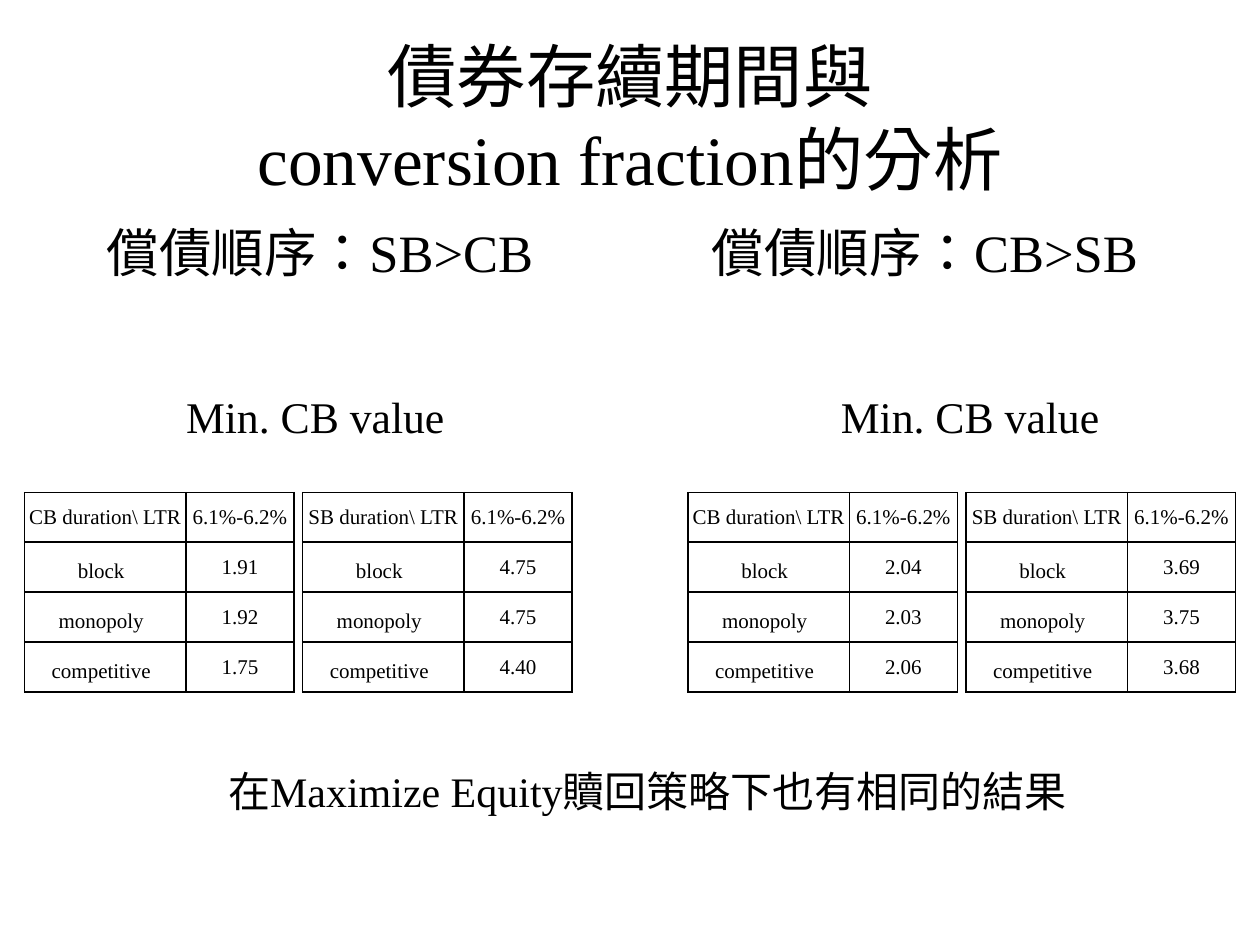
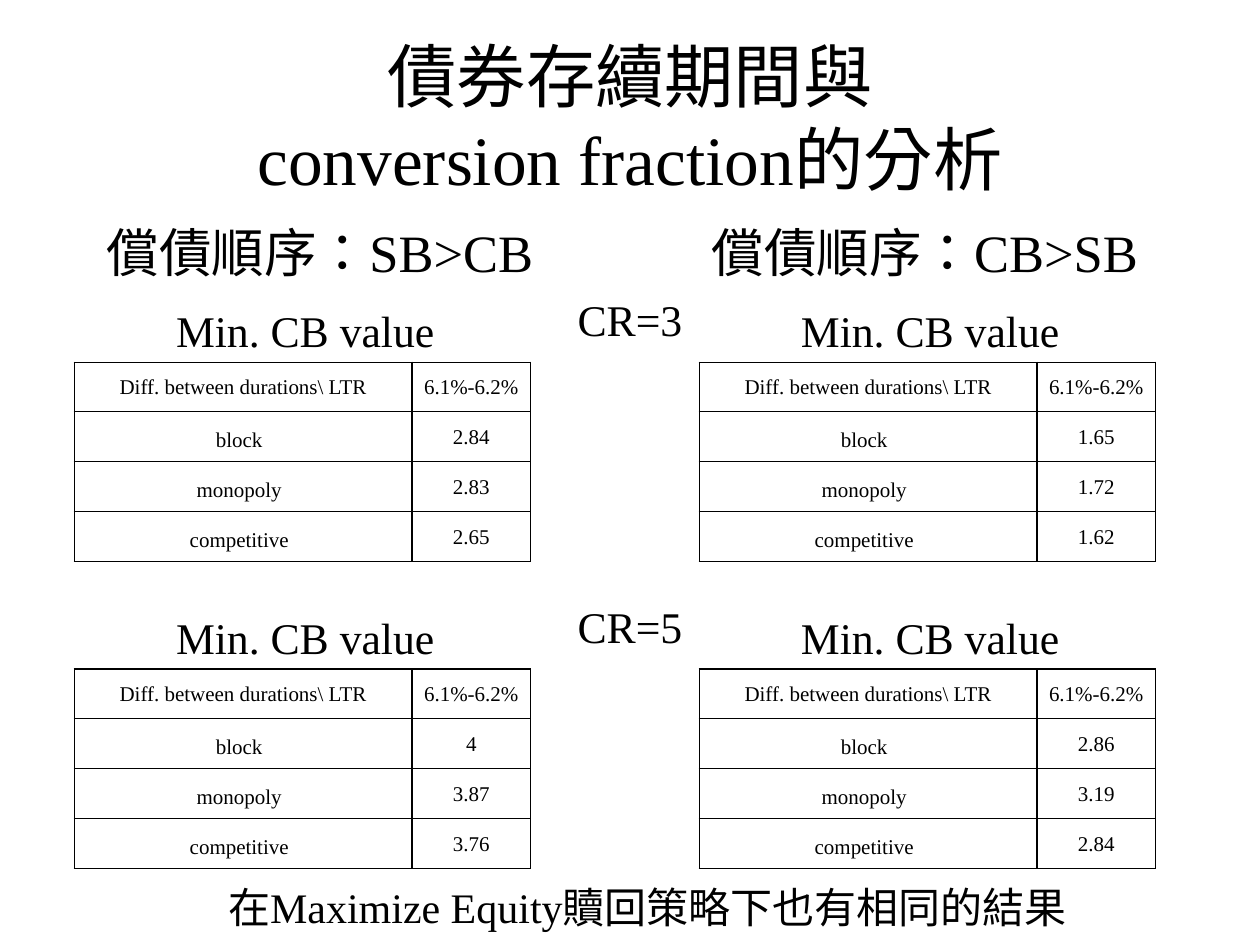
from lxml import etree
from pptx import Presentation
from pptx.dml.color import RGBColor
from pptx.enum.text import MSO_ANCHOR, MSO_AUTO_SIZE, PP_ALIGN
from pptx.oxml.ns import qn
from pptx.util import Pt

BLACK = RGBColor(0, 0, 0)
FONT = "Times New Roman"
LANGUAGE = "zh-TW"

TITLE_LINES = ["債券存續期間與", "conversion fraction的分析"]
ORDERS = ["償債順序：SB>CB", "償債順序：CB>SB"]
CAPTION = "Min. CB value"
NOTE = "在Maximize Equity贖回策略下也有相同的結果"
RATE = "6.1%-6.2%"
MARKETS = ["block", "monopoly", "competitive"]

# Header and values of each table: (CB table, SB table) per repayment order
DURATIONS = [
    [("CB duration\\ LTR", ["1.91", "1.92", "1.75"]),
     ("SB duration\\ LTR", ["4.75", "4.75", "4.40"])],
    [("CB duration\\ LTR", ["2.04", "2.03", "2.06"]),
     ("SB duration\\ LTR", ["3.69", "3.75", "3.68"])],
]

# Values per conversion ratio: one list per repayment order
DIFF_HEADER = "Diff. between durations\\ LTR"
DIFFERENCES = [
    ("CR=3", [["2.84", "2.83", "2.65"], ["1.65", "1.72", "1.62"]]),
    ("CR=5", [["4", "3.87", "3.76"], ["2.86", "3.19", "2.84"]]),
]

ORDER_LEFTS = [54, 399.6]
ROW_HEIGHTS = [28.2, 28.6, 28.6, 28.6]
DURATION_COLUMNS = [92.2, 61.9]
DURATION_LEFTS = [14, 393.1]
DURATION_STEP = 158.9
DIFF_COLUMNS = [193, 67.7]
DIFF_LEFTS = [42.5, 399.6]
DIFF_TOPS = [207, 382.4]


def add_run(paragraph, text, size):
    """Add a black run in the deck font and language."""
    run = paragraph.add_run()
    run.text = text
    run.font.size = Pt(size)
    run.font.name = FONT
    run.font.color.rgb = BLACK
    run._r.get_or_add_rPr().set("lang", LANGUAGE)


def add_text(slide, text, left, top, width, height, size,
             align=PP_ALIGN.LEFT, before=0):
    """Add a one-paragraph text box."""
    box = slide.shapes.add_textbox(Pt(left), Pt(top), Pt(width), Pt(height))
    frame = box.text_frame
    frame.word_wrap = True
    frame.auto_size = MSO_AUTO_SIZE.SHAPE_TO_FIT_TEXT
    paragraph = frame.paragraphs[0]
    paragraph.alignment = align
    paragraph.space_before = Pt(before)
    add_run(paragraph, text, size)


def add_borders(cell):
    """Draw a 1 pt black line on all four sides of a cell."""
    props = cell._tc.get_or_add_tcPr()
    for index, side in enumerate(("a:lnL", "a:lnR", "a:lnT", "a:lnB")):
        line = etree.Element(qn(side), w=str(Pt(1)))
        fill = etree.SubElement(line, qn("a:solidFill"))
        etree.SubElement(fill, qn("a:srgbClr"), val=str(BLACK))
        props.insert(index, line)


def add_grid(slide, header, values, left, top, columns):
    """Add a table of one value per market."""
    rows = [(header, RATE), *zip(MARKETS, values)]
    table = slide.shapes.add_table(
        len(rows), len(columns), Pt(left), Pt(top),
        Pt(sum(columns)), Pt(sum(ROW_HEIGHTS))).table
    table.first_row = table.horz_banding = False
    for column, width in zip(table.columns, columns):
        column.width = Pt(width)
    for r, (row, height) in enumerate(zip(rows, ROW_HEIGHTS)):
        table.rows[r].height = Pt(height)
        for c, text in enumerate(row):
            cell = table.cell(r, c)
            cell.fill.background()
            cell.vertical_anchor = MSO_ANCHOR.MIDDLE
            cell.margin_left = cell.margin_right = cell.margin_top = Pt(0.7)
            cell.margin_bottom = 0
            paragraph = cell.text_frame.paragraphs[0]
            paragraph.alignment = PP_ALIGN.CENTER
            add_run(paragraph, text, 12)
            if r and c == 0:
                add_run(paragraph, " ", 18)  # taller line sets the label lower
            add_borders(cell)


def add_slide(deck, note_top):
    """Add a slide with the shared title, order headings and note."""
    slide = deck.slides.add_slide(deck.slide_layouts[5])
    title = slide.shapes.title
    title.left, title.top, title.width, title.height = (
        Pt(36), Pt(21.6), Pt(648), Pt(90))
    frame = title.text_frame
    frame.auto_size = MSO_AUTO_SIZE.NONE
    frame.vertical_anchor = MSO_ANCHOR.MIDDLE
    paragraph = frame.paragraphs[0]
    paragraph.alignment = PP_ALIGN.CENTER
    for i, line in enumerate(TITLE_LINES):
        if i:
            paragraph.add_line_break()
        add_run(paragraph, line, 39.6)
    for order, left in zip(ORDERS, ORDER_LEFTS):
        add_text(slide, order, left, 122.4, 278, 44, 30, before=6)
    add_text(slide, NOTE, 20, note_top, 700, 36, 24, PP_ALIGN.CENTER, before=4.8)
    return slide


def add_caption(slide, left, top):
    """Add the caption above a table."""
    add_text(slide, CAPTION, left, top, 170, 37.4, 25)


deck = Presentation()
deck.slide_width, deck.slide_height = Pt(720), Pt(540)

slide = add_slide(deck, 434)
for tables, left, caption_left in zip(DURATIONS, DURATION_LEFTS, [99.2, 473.4]):
    add_caption(slide, caption_left, 219)
    for i, (header, values) in enumerate(tables):
        add_grid(slide, header, values, left + i * DURATION_STEP, 281.5,
                 DURATION_COLUMNS)

slide = add_slide(deck, 500.4)
for (ratio, groups), top in zip(DIFFERENCES, DIFF_TOPS):
    add_text(slide, ratio, 314.6, top - 43.5, 90.7, 37.4, 25, PP_ALIGN.CENTER)
    for values, left in zip(groups, DIFF_LEFTS):
        add_caption(slide, left + 51, top - 37)
        add_grid(slide, DIFF_HEADER, values, left, top, DIFF_COLUMNS)

deck.save("out.pptx")
